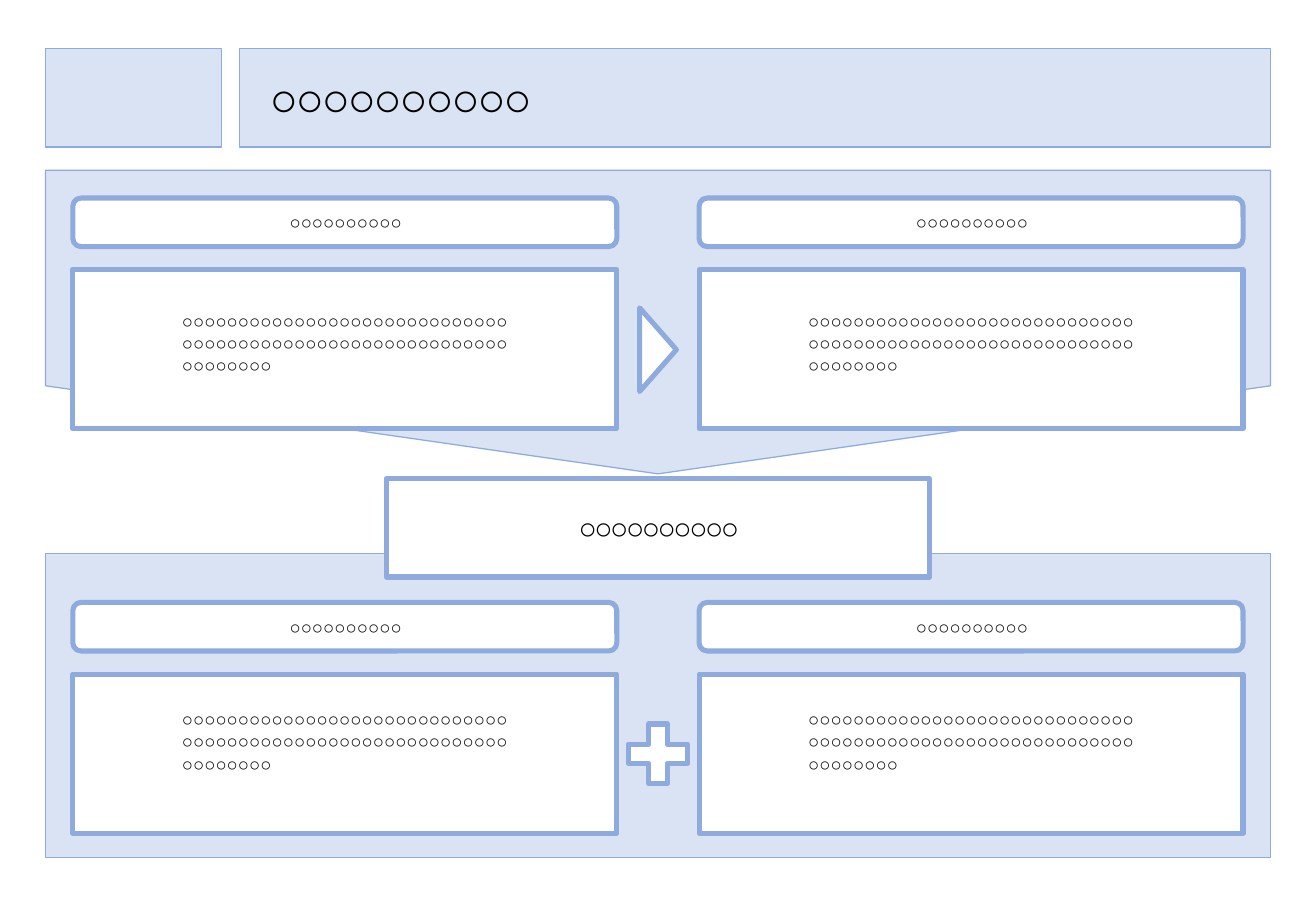
import pptx
import pptx.util
import pptx.dml.color
import pptx.enum.shapes
import pptx.enum.text

Pt = pptx.util.Pt
RGBColor = pptx.dml.color.RGBColor
SHAPE = pptx.enum.shapes.MSO_SHAPE
ALIGN = pptx.enum.text.PP_ALIGN

PALE = RGBColor(0xDA, 0xE3, 0xF3)
BLUE = RGBColor(0x8F, 0xAA, 0xDC)
WHITE = RGBColor(0xFF, 0xFF, 0xFF)
BLACK = RGBColor(0, 0, 0)

TITLE = "○○○○○○○○○○"
DECISION = "○○○○○○○○○○"
HEADING = "○○○○○○○○○○"
BODY = "○○○○○○○○○○○○○○○○○○○○○○○○○○○○○○○○○○○○○○○○○○○○○○○○○○○○○○○○○○○○○○○○○○"

# Each row: heading top, card top, gap from card top to its text, two (heading, body) cards
ROWS = [
    (117.4, 159.8, 20.2, [(HEADING, BODY), (HEADING, BODY)]),
    (357.1, 399.6, 16.6, [(HEADING, BODY), (HEADING, BODY)]),
]

# Page geometry
PAGE_W, PAGE_H = 780, 540
MARGIN, PANEL_H = 27, 180
PANEL_W = PAGE_W - 2 * MARGIN
TOP, BAR_H, TAG_W, BAR_X = 28.8, 58.4, 104.4, 141.9
UPPER_TOP, LOWER_TOP = 100.9, 328.2
CARD_X, CARD_W, CARD_H, HEAD_H = 43.2, 322.4, 94.4, 28.8
COLUMNS = (CARD_X, PAGE_W - CARD_X - CARD_W)
TEXT_W = 207.4
DECISION_W, DECISION_Y = 322, 283.7

LABEL = {"size": Pt(11), "name": "Arial"}
STRONG = {"size": Pt(18), "name": "Arial", "bold": True}
HEADLINE = {"size": Pt(28), "name": "Arial", "bold": True}


def add_box(kind, x, y, w, h, fill=WHITE, line=3, rotation=0):
    sp = s.shapes.add_shape(kind, Pt(x), Pt(y), Pt(w), Pt(h))
    sp.shadow.inherit = False
    sp.fill.solid()
    sp.fill.fore_color.rgb = fill
    sp.line.color.rgb = BLUE
    sp.line.width = Pt(line)
    sp.rotation = rotation
    return sp


def write(sp, text, font, align, spacing=0):
    tf = sp.text_frame
    frame = {
        "word_wrap": True,
        "auto_size": pptx.enum.text.MSO_AUTO_SIZE.SHAPE_TO_FIT_TEXT,
        "vertical_anchor": pptx.enum.text.MSO_ANCHOR.TOP,
        "margin_right": Pt(6),
    }
    for key, value in frame.items():
        setattr(tf, key, value)
    p = tf.paragraphs[0]
    p.alignment = align
    r = p.add_run()
    r.text = text
    for key, value in font.items():
        setattr(r.font, key, value)
    r.font.color.rgb = BLACK
    if spacing:
        r.font._element.set("spc", str(int(spacing * 100)))


def add_text(x, y, w, h, *content):
    write(s.shapes.add_textbox(Pt(x), Pt(y), Pt(w), Pt(h)), *content)


prs = pptx.Presentation()
prs.slide_width, prs.slide_height = Pt(PAGE_W), Pt(PAGE_H)
s = prs.slides.add_slide(prs.slide_layouts[5])

# Panels; the upper one is a pentagon turned to point down
add_box(SHAPE.RECTANGLE, MARGIN, LOWER_TOP, PANEL_W, PANEL_H, PALE, 0.75)
turn = (PANEL_W - PANEL_H) / 2
arrow = add_box(SHAPE.PENTAGON, MARGIN + turn, UPPER_TOP - turn,
                PANEL_H, PANEL_W, PALE, 0.75, 90)
arrow.adjustments[0] = 0.29

# Header
add_box(SHAPE.RECTANGLE, MARGIN, TOP, TAG_W, BAR_H, PALE, 0.75)
add_box(SHAPE.RECTANGLE, BAR_X, TOP, PAGE_W - MARGIN - BAR_X, BAR_H, PALE, 0.75)
title = s.shapes.title
place = {"left": 152.6, "top": 37.4, "width": 424.8, "height": 41}
for key, value in place.items():
    setattr(title, key, Pt(value))
write(title, TITLE, HEADLINE, ALIGN.LEFT, -1.5)
s.shapes.element.append(title.element)  # bring in front of the header bar

# Cards
for head_y, card_y, text_gap, cards in ROWS:
    for x, (heading, body) in zip(COLUMNS, cards):
        text_x = x + (CARD_W - TEXT_W) / 2
        add_box(SHAPE.ROUNDED_RECTANGLE, x, head_y, CARD_W, HEAD_H)
        add_text(text_x, head_y + 4.2, TEXT_W, 20.6, heading, LABEL, ALIGN.CENTER)
        add_box(SHAPE.RECTANGLE, x, card_y, CARD_W, CARD_H)
        add_text(text_x, card_y + text_gap, TEXT_W, 60.5, body, LABEL, ALIGN.JUSTIFY)

# Decision between the panels
decision_x = (PAGE_W - DECISION_W) / 2
add_box(SHAPE.RECTANGLE, decision_x, DECISION_Y, DECISION_W, BAR_H)
add_text(decision_x + 16.3, DECISION_Y + 14.4, DECISION_W - 32.6, 28.8,
         DECISION, STRONG, ALIGN.CENTER, -1.5)

# Symbols between the cards
add_box(SHAPE.ISOSCELES_TRIANGLE, 365.2, 196.4, 49.6, 21.8, rotation=90)
add_box(SHAPE.MATH_PLUS, 366, 422.8, 48, 48)

prs.save("out.pptx")
